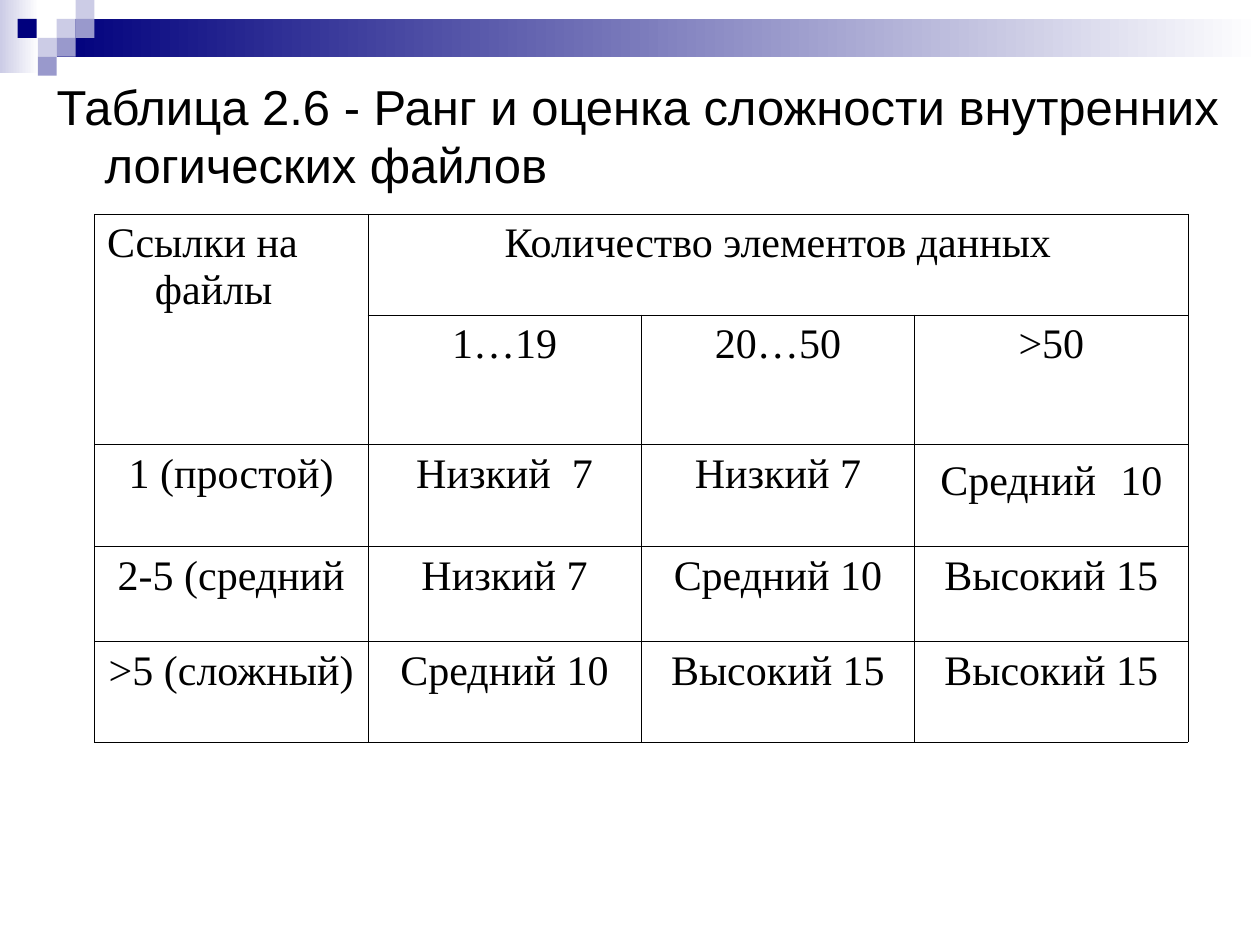
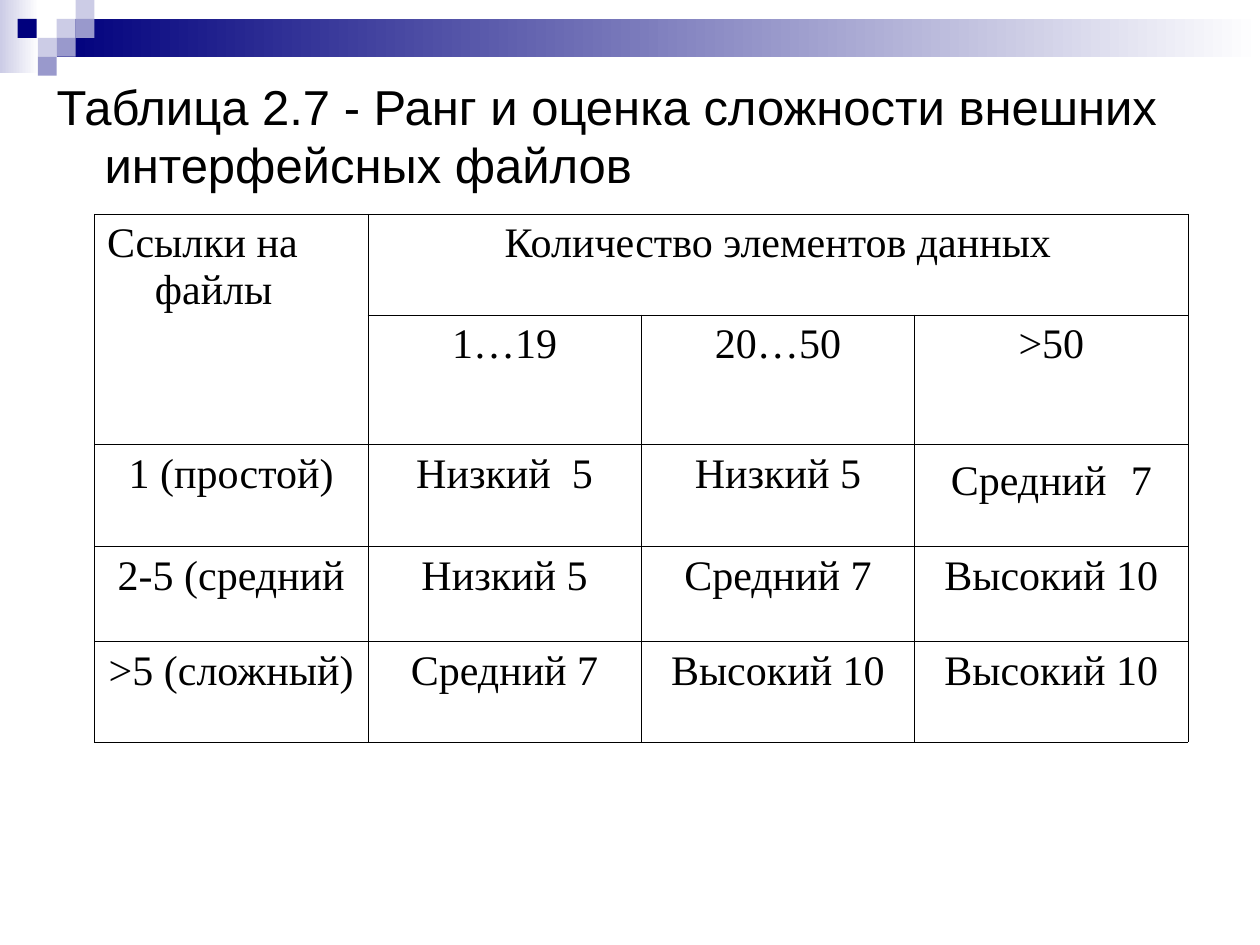
from lxml import etree
from pptx import Presentation
from pptx import util as u
from pptx.dml.color import RGBColor
from pptx.enum import shapes, text
from pptx.oxml import ns

COLOURS = {"black": "000000", "white": "FFFFFF", "navy": "00007D",
           "violet": "9999CC", "pale": "CCCCE6"}
SANS, SERIF = "Arial", "Times New Roman"
TITLE_ONLY = 5
SQUARE = 0.15
HANGING = 0.38
COLUMN_WIDTH = 2.17
ROW_HEIGHTS = [0.8, 1.03, 0.81, 0.75, 0.8]
# left, top, colour of each corner square
SQUARES = [(0.45, 0.15, "pale"), (0.6, 0, "pale"), (0.6, 0.15, "violet"),
           (0.3, 0.3, "pale"), (0.14, 0.15, "navy"), (0.45, 0.3, "violet"),
           (0.3, 0.45, "violet")]


def rgb(name):
    return RGBColor.from_string(COLOURS[name])


def add_span(para, wording, font=SERIF, size=24, colour="black"):
    span = para.add_run()
    span.text = wording
    span.font.name = font
    span.font.size = u.Pt(size)
    span.font.color.rgb = rgb(colour)


def format_para(para, align):
    """Align the paragraph and give it a hanging indent."""
    para.alignment = align
    properties = para._p.get_or_add_pPr()
    properties.set("marL", str(u.Inches(HANGING)))
    properties.set("indent", str(-u.Inches(HANGING)))


def add_borders(cell, colour="black", width=0.45):
    properties = cell._tc.get_or_add_tcPr()
    for side in ("a:lnL", "a:lnR", "a:lnT", "a:lnB"):
        line = etree.SubElement(properties, ns.qn(side), w=str(u.Pt(width)))
        fill = etree.SubElement(line, ns.qn("a:solidFill"))
        etree.SubElement(fill, ns.qn("a:srgbClr"), val=COLOURS[colour])


class Deck:
    def __init__(self):
        self.deck = Presentation()
        self.deck.slide_width = u.Inches(10)
        self.deck.slide_height = u.Inches(7.5)
        self.layout = self.deck.slide_layouts[TITLE_ONLY]
        self.page = None

    def add_page(self, title):
        self.page = self.deck.slides.add_slide(self.layout)
        if len(self.deck.slides) == 1:
            self.add_decoration()
        self.add_title(title)

    def add_block(self, left, top, width, height, colour, fade=False):
        """Draw a rectangle on the layout, so that every page shows it."""
        block = self.page.shapes.add_shape(
            shapes.MSO_SHAPE.RECTANGLE, u.Inches(left), u.Inches(top),
            u.Inches(width), u.Inches(height))
        block.shadow.inherit = False
        block.line.fill.background()
        if fade:
            block.fill.gradient()
            block.fill.gradient_angle = 180
            for stop, name in zip(block.fill.gradient_stops, ("white", colour)):
                stop.color.rgb = rgb(name)
        else:
            block.fill.solid()
            block.fill.fore_color.rgb = rgb(colour)
        self.layout.shapes.element.append(block.element)

    def add_decoration(self):
        self.add_block(0, 0, 0.31, 0.58, "pale", fade=True)
        self.add_block(0.45, 0.15, 9.55, 0.3, "navy", fade=True)
        for left, top, colour in SQUARES:
            self.add_block(left, top, SQUARE, SQUARE, colour)

    def add_title(self, wording):
        title = self.page.shapes.title
        title.left, title.top = u.Inches(0.35), u.Inches(0.52)
        title.width, title.height = u.Inches(9.45), u.Inches(1.1)
        frame = title.text_frame
        frame.word_wrap = True
        frame.auto_size = text.MSO_AUTO_SIZE.NONE
        frame.vertical_anchor = text.MSO_ANCHOR.MIDDLE
        para = frame.paragraphs[0]
        format_para(para, text.PP_ALIGN.LEFT)
        add_span(para, wording, font=SANS, size=28)

    def add_rank_table(self, low, middle, high):
        """Add the table of ranks, with the score that each rank gives."""
        rows = [
            ["Ссылки на файлы", "Количество элементов данных", "", ""],
            ["", "1…19", "20…50", ">50"],
            ["1 (простой)", f"Низкий  {low}", f"Низкий {low}",
             ("Средний", " ", f" {middle}")],
            ["2-5 (средний", f"Низкий {low}", f"Средний {middle}",
             f"Высокий {high}"],
            [">5 (сложный)", f"Средний {middle}", f"Высокий {high}",
             f"Высокий {high}"],
        ]
        columns = len(rows[0])
        table = self.page.shapes.add_table(
            len(rows), columns, u.Inches(0.75), u.Inches(1.7),
            u.Inches(COLUMN_WIDTH * columns), u.Inches(sum(ROW_HEIGHTS))).table
        table.first_row = table.horz_banding = False
        for column in table.columns:
            column.width = u.Inches(COLUMN_WIDTH)
        for row, height in zip(table.rows, ROW_HEIGHTS):
            row.height = u.Inches(height)
        table.cell(0, 0).merge(table.cell(1, 0))
        table.cell(0, 1).merge(table.cell(0, columns - 1))
        for r, row in enumerate(rows):
            for c, content in enumerate(row):
                corner = r == c == 0
                align = text.PP_ALIGN.LEFT if corner else text.PP_ALIGN.CENTER
                self.fill_cell(table.cell(r, c), content, align)

    def fill_cell(self, cell, content, align):
        """Fill a cell; content in three parts has a wide gap in the middle."""
        add_borders(cell)
        cell.fill.background()
        if not content:
            return
        para = cell.text_frame.paragraphs[0]
        format_para(para, align)
        if isinstance(content, str):
            add_span(para, content)
        else:
            rank, gap, score = content
            add_span(para, rank)
            add_span(para, gap, font=SANS, size=28)
            add_span(para, score)


def main():
    show = Deck()
    show.add_page("Таблица 2.6 - Ранг и оценка сложности внутренних логических файлов")
    show.add_rank_table(low=7, middle=10, high=15)
    show.add_page("Таблица 2.7 - Ранг и оценка сложности внешних интерфейсных файлов")
    show.add_rank_table(low=5, middle=7, high=10)
    show.deck.save("out.pptx")


if __name__ == "__main__":
    main()
